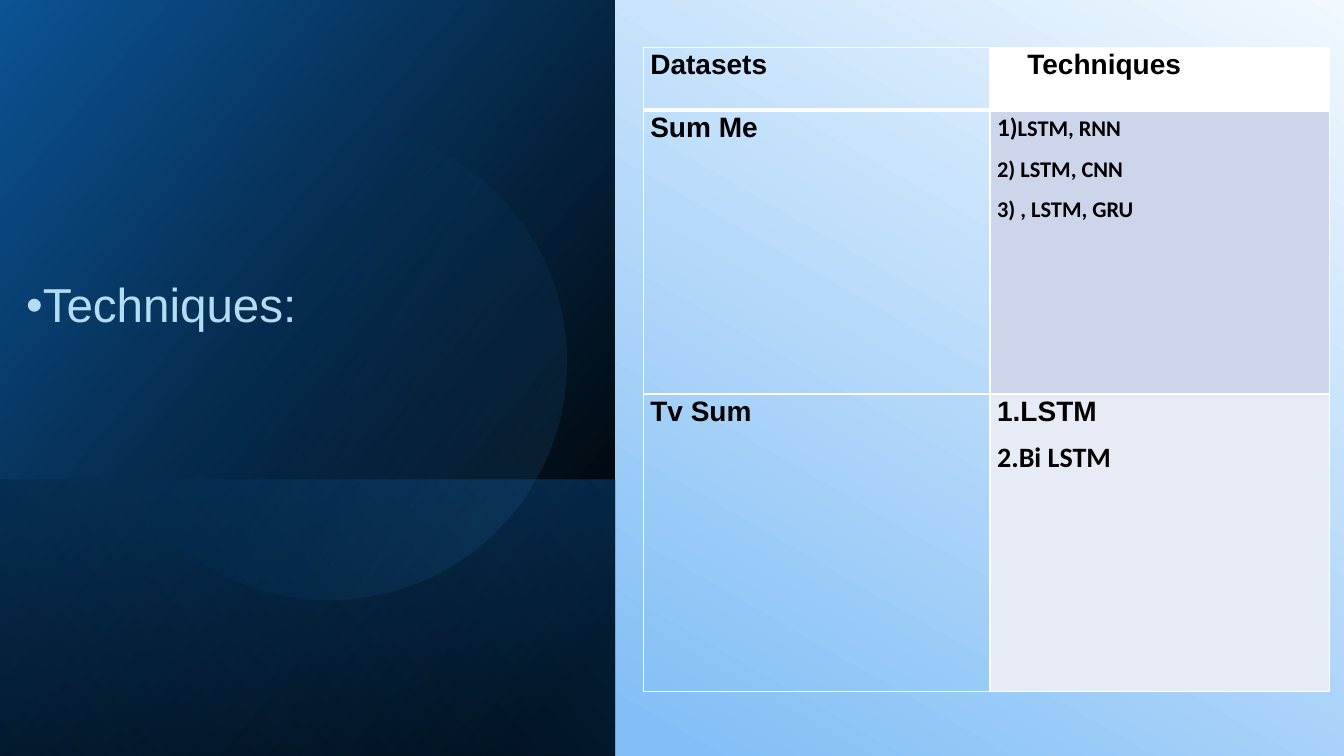
from lxml import etree
from pptx import Presentation
from pptx import util as u
from pptx.dml.color import RGBColor
from pptx.enum import shapes, text
from pptx.oxml.ns import qn

W, H = 13.33, 7.5
C = dict(black="000000", white="FFFFFF", navy="0B5394", blue="0F6FC6",
         sky="59AAF2", title="B3DDF2", ice="F1F8FE", mid="83BFF6",
         pale="ACD4F9", lilac="CCD5EA", mist="E7EBF5")
ROWS = [
    [["Datasets"], ["Techniques"]],
    [["Sum Me"], ["1)LSTM, RNN", "2) LSTM, CNN", "3) , LSTM, GRU"]],
    [["Tv Sum"], ["1.LSTM", "2.Bi LSTM"]],
]
STYLES = {"LSTM, RNN": ("Calibri", 16), "2) LSTM, CNN": ("Calibri", 16),
          "3) , LSTM, GRU": ("Calibri", 16), "1)": ("Calibri", 18),
          "2.Bi LSTM": ("Calibri", 20)}
TECHNIQUE_FILLS = ["white", "lilac", "mist"]


def sub(parent, tag, **attrs):
    return etree.SubElement(parent, qn(tag), {k: str(v) for k, v in attrs.items()})


def gradient(fill, element, stops, angle):
    fill.gradient()
    fill.gradient_angle = 360 - angle
    gs_list = element.find(".//" + qn("a:gsLst"))
    for gs in list(gs_list):
        gs_list.remove(gs)
    for pos, color, opacity in stops:
        gs = sub(gs_list, "a:gs", pos=pos * 1000)
        clr = sub(gs, "a:srgbClr", val=C[color])
        if opacity < 100:
            sub(clr, "a:alpha", val=opacity * 1000)


def backdrop(s):
    fill = s.background.fill
    gradient(fill, s._element, [(0, "ice", 100), (74, "mid", 100),
                                (83, "mid", 100), (100, "pale", 100)], 120)


def turned(s, kind, box, rotation, stops, angle, flip=False):
    sp = s.shapes.add_shape(kind, *map(u.Inches, box))
    sp.rotation = rotation
    sp.shadow.inherit = False
    sp.line.fill.background()
    if flip:
        sp._element.spPr.find(qn("a:xfrm")).set("flipH", "1")
    gradient(sp.fill, sp._element.spPr, stops, angle)


def upright_panel(s, box, stops, angle):
    x, y, w, h = box
    turned(s, shapes.MSO_SHAPE.RECTANGLE,
           (x + (w - h) / 2, y + (h - w) / 2, h, w), 90, stops, angle, True)


def left_panel(s, box):
    x, y, w, h = box
    band = 2.74
    upright_panel(s, box, [(8, "black", 100), (100, "navy", 100)], 50)
    upright_panel(s, (x, y + h - band, w, band),
                  [(2, "blue", 29), (100, "black", 30)], 130)
    turned(s, shapes.MSO_SHAPE.OVAL, (x + 0.9, y + 1.23, 4.72, 4.72), 101.6,
           [(39, "blue", 0), (100, "sky", 15)], 290)


def heading(s, box):
    sp = s.shapes.title
    sp.left, sp.top, sp.width, sp.height = map(u.Inches, box)
    s.shapes._spTree.append(sp._element)
    tf = sp.text_frame
    tf.text = "Techniques:"
    tf.word_wrap = True
    tf.auto_size = text.MSO_AUTO_SIZE.NONE
    tf.vertical_anchor = text.MSO_ANCHOR.MIDDLE
    p = tf.paragraphs[0]
    p.alignment = text.PP_ALIGN.LEFT
    p.line_spacing, p.space_after = 0.9, u.Pt(6)
    p.font.name, p.font.size = "Arial", u.Pt(34)
    p.font.color.rgb = RGBColor.from_string(C["title"])
    pPr = p._p.get_or_add_pPr()
    pPr.set("marL", "0")
    pPr.set("indent", str(u.Inches(-0.25)))
    bullet = etree.Element(qn("a:buFont"), {"typeface": "Arial"})
    pPr.find(qn("a:spcAft")).addnext(bullet)
    bullet.addnext(etree.Element(qn("a:buChar"), {"char": "•"}))


def borders(cell, bottom, top):
    tcPr = cell._tc.get_or_add_tcPr()
    widths = {"a:lnL": 1, "a:lnR": 1, "a:lnT": top, "a:lnB": bottom}
    for i, (tag, width) in enumerate(widths.items()):
        ln = etree.Element(qn(tag), {"w": str(u.Pt(width))})
        sub(sub(ln, "a:solidFill"), "a:srgbClr", val=C["white"])
        tcPr.insert(i, ln)


def write_cell(cell, lines):
    cell.margin_left = cell.margin_right = u.Inches(0.07)
    cell.margin_top = cell.margin_bottom = 0
    tf = cell.text_frame
    for i, line in enumerate(lines):
        p = tf.paragraphs[0] if i == 0 else tf.add_paragraph()
        p.line_spacing, p.space_after = 1.07, u.Pt(8)
        parts = ["1)", line[2:]] if line.startswith("1)") else [line]
        for part in parts:
            r = p.add_run()
            r.text = part
            name, size = STYLES.get(part, ("Arial", 20))
            r.font.name, r.font.size, r.font.bold = name, u.Pt(size), True
            r.font.color.rgb = RGBColor.from_string(C["black"])


def dataset_table(s, box):
    tbl = s.shapes.add_table(3, 2, *map(u.Inches, box)).table
    tbl.first_row = tbl.horz_banding = False
    for col, width in zip(tbl.columns, (3.44, 3.37)):
        col.width = u.Inches(width)
    for i, (row, height) in enumerate(zip(tbl.rows, (0.62, 2.82, 2.95))):
        row.height = u.Inches(height)
        for j, cell in enumerate(row.cells):
            write_cell(cell, ROWS[i][j])
            if j == 0:
                cell.fill.background()
            else:
                cell.fill.solid()
                cell.fill.fore_color.rgb = RGBColor.from_string(C[TECHNIQUE_FILLS[i]])
            borders(cell, bottom=3 if i == 0 else 1, top=3 if i == 1 else 1)
    header = tbl.cell(0, 1).text_frame.paragraphs[0]
    header._p.get_or_add_pPr().set("marL", str(u.Inches(0.3)))


def main():
    prs = Presentation()
    prs.slide_width, prs.slide_height = u.Inches(W), u.Inches(H)
    s = prs.slides.add_slide(prs.slide_layouts[5])
    backdrop(s)
    left_panel(s, (0, 0, 6.1, H))
    heading(s, (0.16, 2.74, W / 2, 0.62))
    dataset_table(s, (6.38, 0.47, 6.81, 6.4))
    prs.save("out.pptx")


if __name__ == "__main__":
    main()
